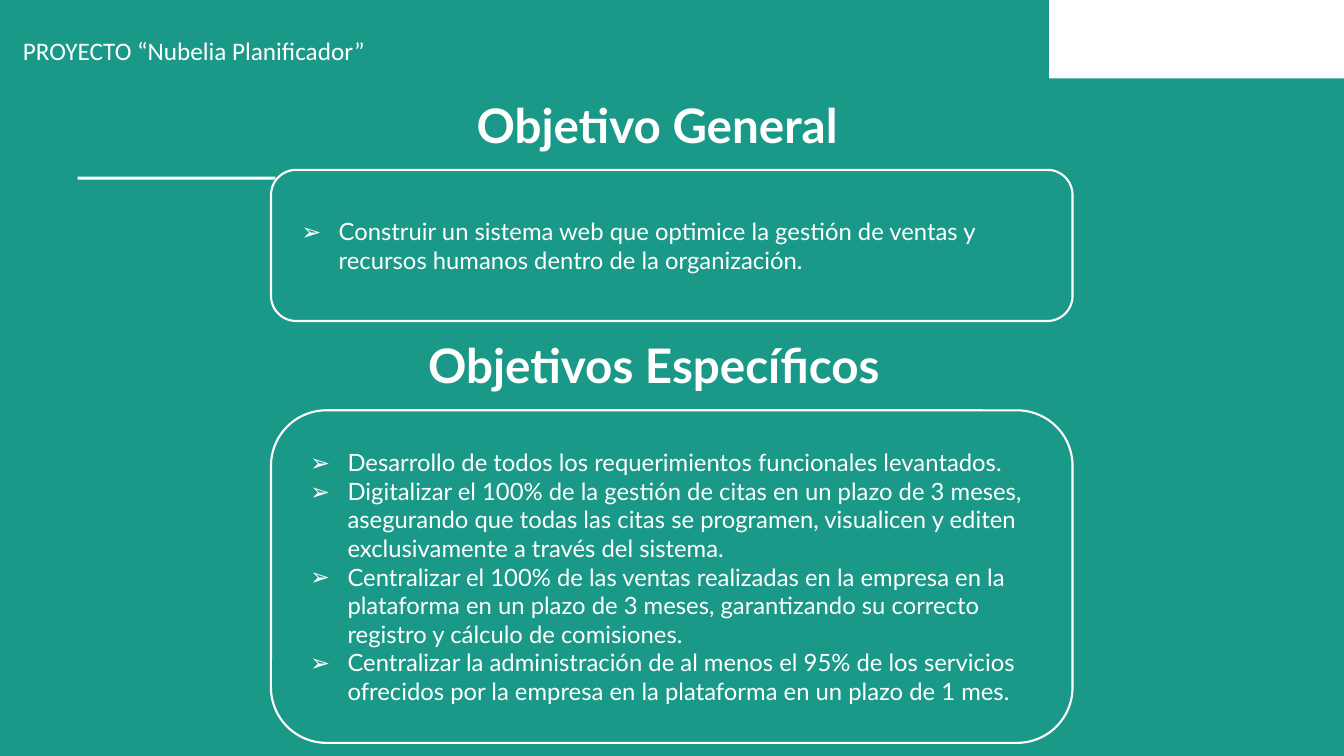
from lxml.etree import SubElement
from pptx import Presentation
from pptx.dml.color import RGBColor
from pptx.enum.shapes import MSO_SHAPE as Preset
from pptx.enum.text import MSO_ANCHOR as Anchor, MSO_AUTO_SIZE as AutoSize, PP_ALIGN as Align
from pptx.oxml.ns import qn
from pptx.util import Cm, Pt

TEAL = RGBColor(0x1A, 0x99, 0x88)
WHITE = RGBColor(0xFF, 0xFF, 0xFF)

CARD_LEFT, CARD_WIDTH = 6.83, 20.2
RULE_LEFT, RULE_WIDTH = 1.96, 4.98

GENERAL = [
    "Construir un sistema web que optimice la gestión de ventas y recursos humanos "
    "dentro de la organización.",
]
SPECIFIC = [
    "Desarrollo de todos los requerimientos funcionales levantados.",
    "Digitalizar el 100% de la gestión de citas en un plazo de 3 meses, asegurando que "
    "todas las citas se programen, visualicen y editen exclusivamente a través del sistema.",
    "Centralizar el 100% de las ventas realizadas en la empresa en la plataforma en un "
    "plazo de 3 meses, garantizando su correcto registro y cálculo de comisiones.",
    "Centralizar la administración de al menos el 95% de los servicios ofrecidos por la "
    "empresa en la plataforma en un plazo de 1 mes.",
]


def set_margins(frame, side, vertical):
    """Set the inner margins of a text frame in centimetres."""
    frame.margin_left = frame.margin_right = Cm(side)
    frame.margin_top = frame.margin_bottom = Cm(vertical)


def style_text(para, font_name, size, bold=False):
    """Format every run of a paragraph in white."""
    for span in para.runs:
        span.font.name = font_name
        span.font.size = Pt(size)
        span.font.bold = bold
        span.font.color.rgb = WHITE


def add_bullet(para):
    """Give a paragraph a hanging white arrowhead bullet."""
    props = para._p.get_or_add_pPr()
    props.set("marL", str(Cm(1.27)))
    props.set("indent", str(Cm(-0.94)))
    color = SubElement(props, qn("a:buClr"))
    SubElement(color, qn("a:srgbClr"), val=str(WHITE))
    SubElement(props, qn("a:buFont"), typeface="Lato")
    SubElement(props, qn("a:buChar"), char="➢")


def add_block(page, left, top, width, height):
    """Add a plain white rectangle."""
    block = page.shapes.add_shape(
        Preset.RECTANGLE, Cm(left), Cm(top), Cm(width), Cm(height))
    block.shadow.inherit = False
    block.fill.solid()
    block.fill.fore_color.rgb = WHITE
    block.line.fill.background()


def add_label(page, text, left, top, width, height):
    """Add a wrapping text box and return its text frame."""
    box = page.shapes.add_textbox(Cm(left), Cm(top), Cm(width), Cm(height))
    frame = box.text_frame
    frame.word_wrap = True
    frame.text = text
    return frame


def add_header(page, text):
    """Add the project name in the top left corner."""
    frame = add_label(page, text, 0.33, 0.76, 16.89, 1.02)
    set_margins(frame, 0.25, 0.13)
    frame.auto_size = AutoSize.SHAPE_TO_FIT_TEXT
    style_text(frame.paragraphs[0], "Calibri", 18)


def add_heading(page, text, left, top, width):
    """Add a large bold section heading."""
    frame = add_label(page, text, left, top, width, 1.98)
    set_margins(frame, 0.25, 0.25)
    style_text(frame.paragraphs[0], "Lato", 34, bold=True)


def add_card(page, goals, top, height):
    """Add a rounded outline holding a bulleted list of goals."""
    card = page.shapes.add_shape(
        Preset.FLOWCHART_ALTERNATE_PROCESS,
        Cm(CARD_LEFT), Cm(top), Cm(CARD_WIDTH), Cm(height))
    card.shadow.inherit = False
    card.fill.background()
    card.line.color.rgb = WHITE
    card.line.width = Pt(1.5)
    frame = card.text_frame
    frame.word_wrap = True
    frame.vertical_anchor = Anchor.MIDDLE
    set_margins(frame, 0.25, 0.25)
    frame.text = "\n".join(goals)
    for para in frame.paragraphs:
        para.alignment = Align.LEFT
        add_bullet(para)
        style_text(para, "Lato", 17)


def main():
    """Build the objectives slide and save the deck."""
    deck = Presentation()
    deck.slide_width, deck.slide_height = Cm(33.87), Cm(19.05)
    page = deck.slides.add_slide(deck.slide_layouts[6])
    page.background.fill.solid()
    page.background.fill.fore_color.rgb = TEAL

    add_block(page, RULE_LEFT, 4.45, RULE_WIDTH, 0.08)
    add_block(page, 26.44, 0, 7.43, 1.98)
    add_header(page, "PROYECTO “Nubelia Planificador”")
    add_heading(page, "Objetivo General", 11.76, 2.16, 10.34)
    add_heading(page, "Objetivos Específicos", 10.54, 8.22, 12.78)
    add_card(page, GENERAL, 4.28, 3.81)
    add_card(page, SPECIFIC, 10.34, 8.38)

    deck.save("out.pptx")


if __name__ == "__main__":
    main()
